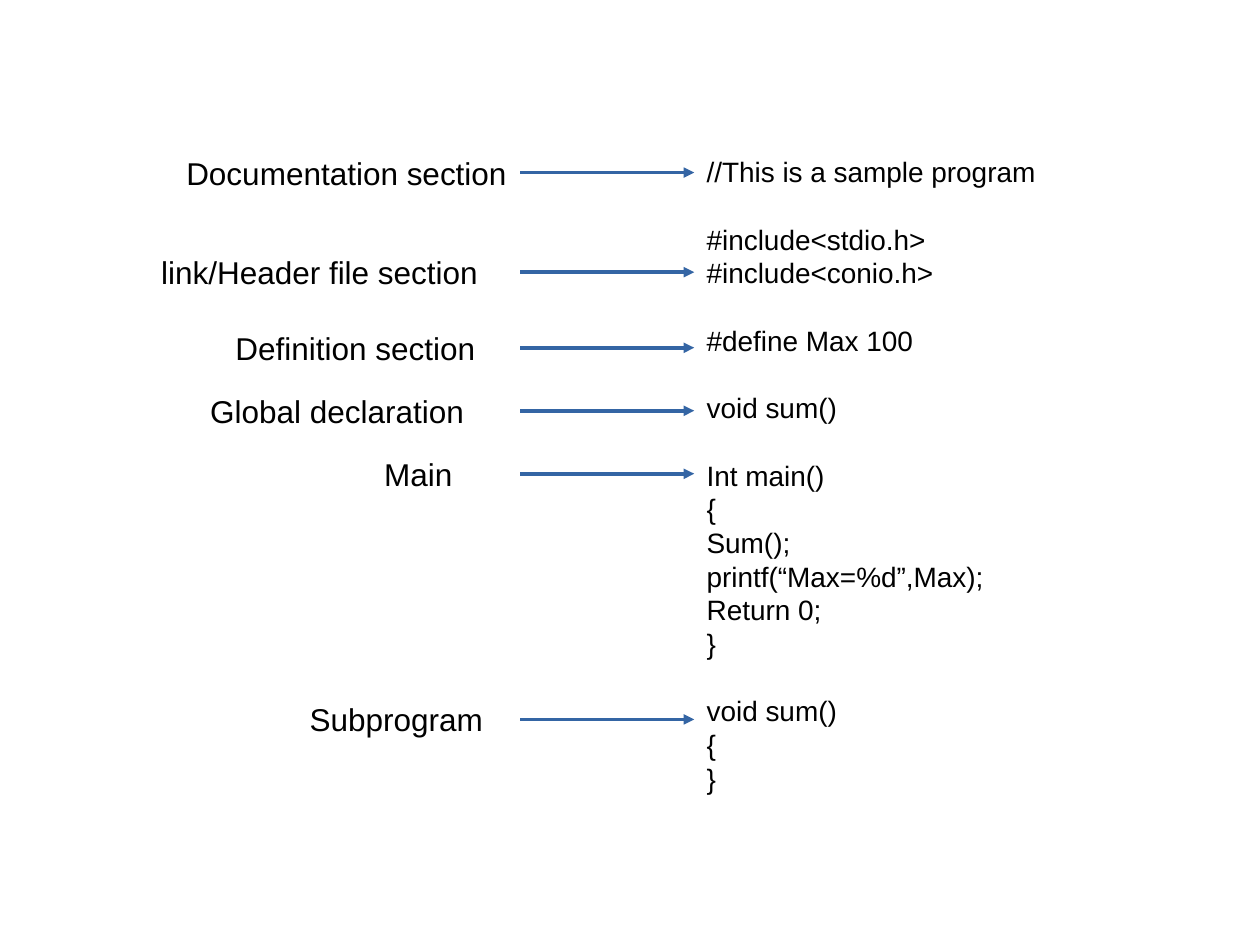
from lxml.etree import SubElement
from pptx import Presentation
from pptx.dml.color import RGBColor
from pptx.enum.shapes import MSO_CONNECTOR
from pptx.oxml.ns import qn
from pptx.util import Inches, Pt

# label, left of label, height of its arrow (inches)
SECTIONS = [
    ("Documentation section", 1.38, 1.37),
    ("link/Header file section", 1.18, 2.16),
    ("Definition section", 1.77, 2.76),
    ("Global declaration", 1.57, 3.26),
    ("Main", 2.95, 3.76),
    ("Subprogram", 2.36, 5.71),
]
CODE_BLOCKS = [
    ["//This is a sample program"],
    ["#include<stdio.h>", "#include<conio.h>"],
    ["#define Max 100"],
    ["void sum()"],
    ["Int main()", "{", "Sum();", "printf(“Max=%d”,Max);", "Return 0;", "}"],
    ["void sum()", "{", "}"],
]
ARROW_LEFT, CODE_LEFT = 4.13, 5.51
CODE_TOP, CODE_WIDTH, CODE_HEIGHT = 1.18, 5.12, 5.91
LABEL_HEIGHT = 0.4
CODE_PITCH = 19.25  # points from one code line to the next


def color(value):
    return RGBColor.from_string(value)


def add_text(shapes, blocks, left, top, width, height, size, pitch=None):
    """Write blocks of lines, with one line's gap between blocks."""
    box = shapes.add_textbox(*map(Inches, (left, top, width, height)))
    frame = box.text_frame
    frame.word_wrap = True
    frame.margin_right = 0
    for block_index, block in enumerate(blocks):
        for line_index, line in enumerate(block):
            first = block_index == line_index == 0
            paragraph = frame.paragraphs[0] if first else frame.add_paragraph()
            if pitch:
                paragraph.line_spacing = Pt(pitch)
                if line_index == 0 and not first:
                    paragraph.space_before = Pt(pitch)
            run = paragraph.add_run()
            run.text = line
            run.font.name = "Arial"
            run.font.size = Pt(size)
            run.font.color.rgb = color("000000")


def add_arrow(shapes, left, right, y):
    arrow = shapes.add_connector(
        MSO_CONNECTOR.STRAIGHT, Inches(left), Inches(y), Inches(right), Inches(y)
    )
    arrow.line.color.rgb = color("3465A4")
    arrow.line.width = Pt(0)
    SubElement(arrow.line._get_or_add_ln(), qn("a:tailEnd"), type="triangle")
    SubElement(arrow._element.spPr, qn("a:effectLst"))


def main():
    presentation = Presentation()
    presentation.slide_width, presentation.slide_height = Inches(10), Inches(7.5)
    slide = presentation.slides.add_slide(presentation.slide_layouts[6])

    add_text(slide.shapes, CODE_BLOCKS, CODE_LEFT, CODE_TOP,
             CODE_WIDTH, CODE_HEIGHT, size=16, pitch=CODE_PITCH)
    for label, left, y in SECTIONS:
        section = slide.shapes.add_group_shape().shapes
        add_arrow(section, ARROW_LEFT, CODE_LEFT, y)
        add_text(section, [[label]], left, y - LABEL_HEIGHT / 2,
                 ARROW_LEFT - left, LABEL_HEIGHT, size=18)
    presentation.save("out.pptx")


if __name__ == "__main__":
    main()
